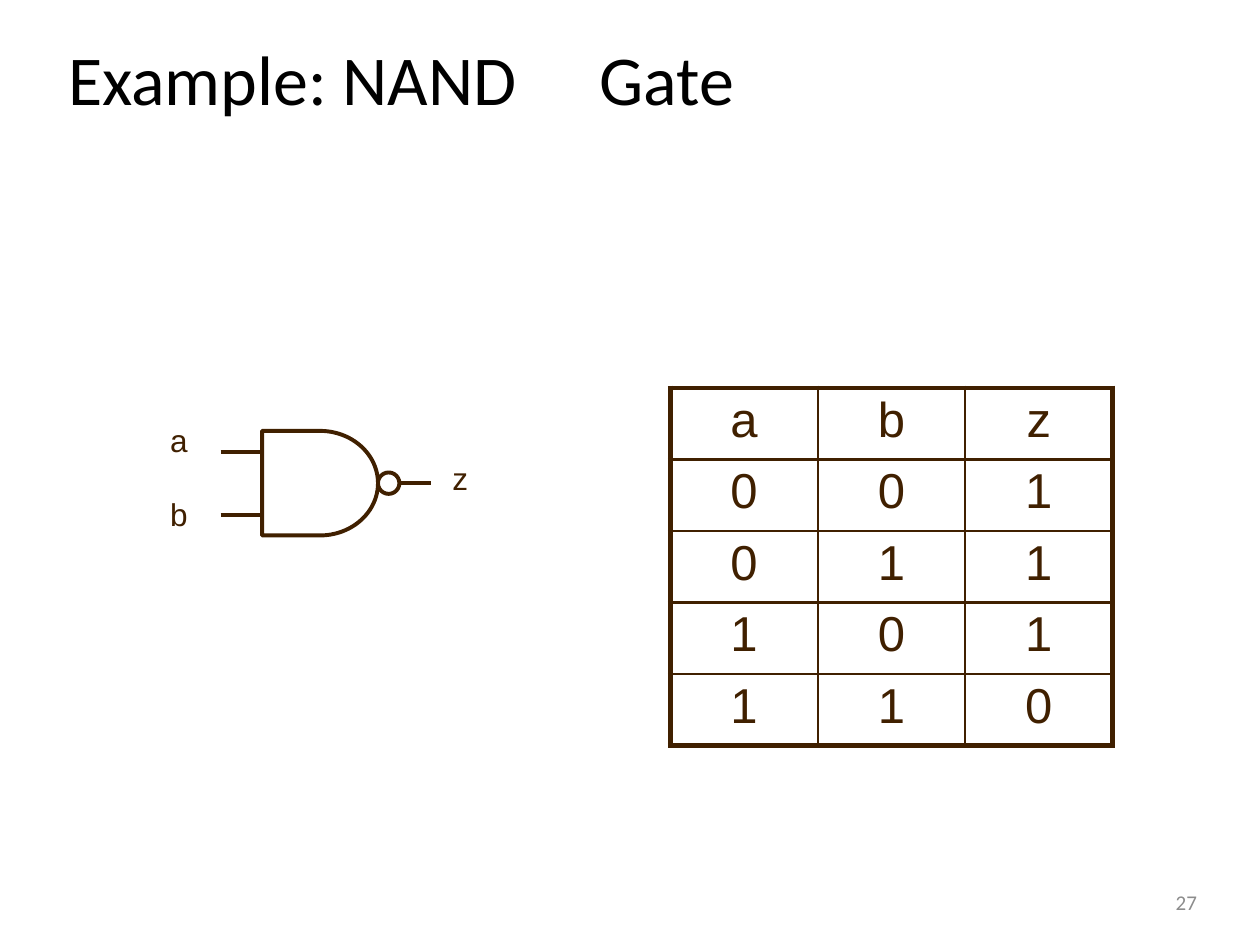
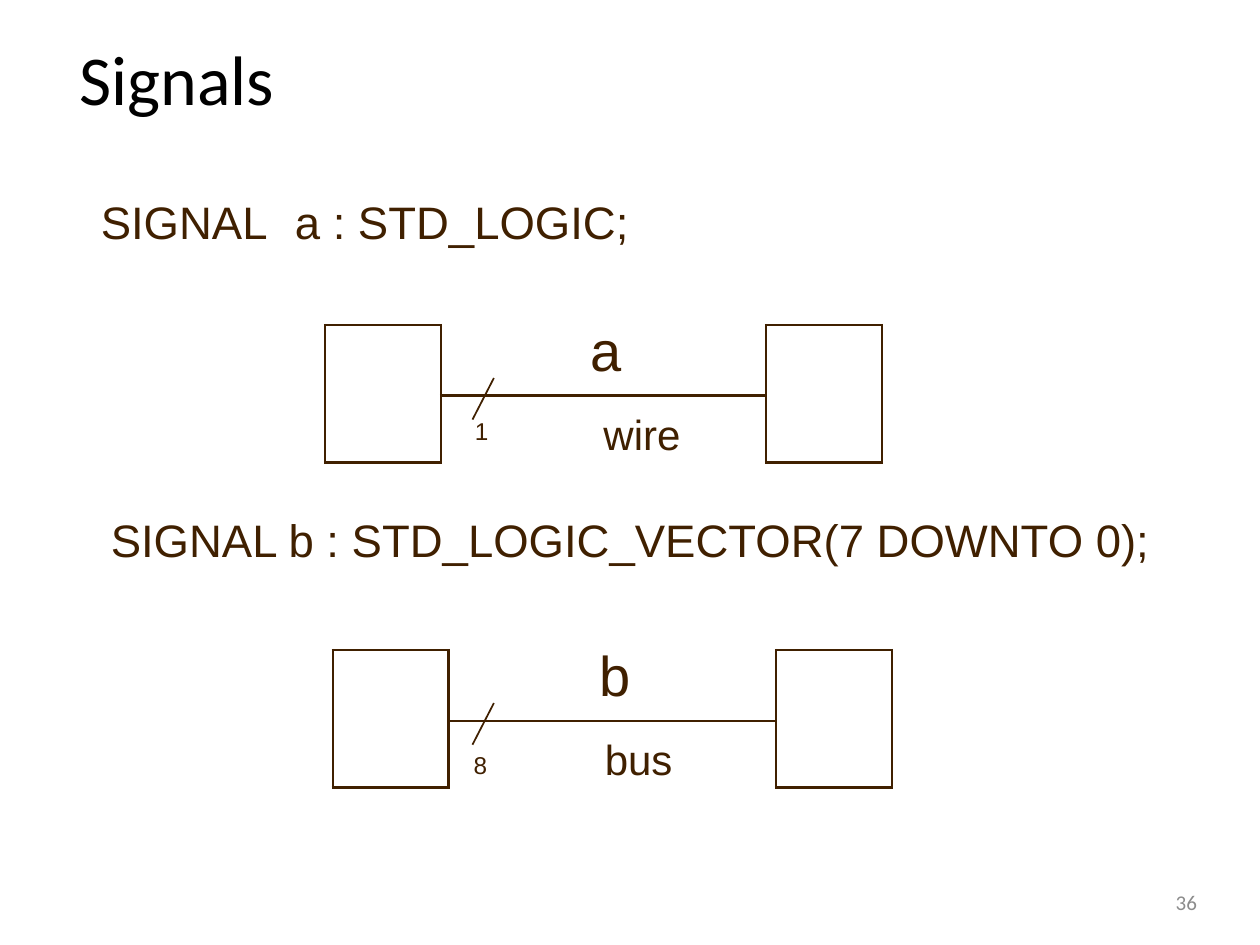
from lxml import etree
from pptx import Presentation
from pptx.dml.color import RGBColor
from pptx.enum.shapes import MSO_CONNECTOR as Connector, MSO_SHAPE as Shape
from pptx.enum.text import MSO_ANCHOR as Anchor, MSO_AUTO_SIZE as AutoSize, PP_ALIGN as Align
from pptx.oxml.ns import qn
from pptx.util import Inches, Pt

COLORS = {"ink": "402000", "title": "000000", "number": "8C8C8C"}
BODY_FONT, TITLE_FONT = "Arial", "Calibri"
TRUTH_ROWS = ["abz", "001", "011", "101", "110"]


def rgb(name):
    return RGBColor.from_string(COLORS[name])


def format_runs(paragraph, size, color="ink", font=BODY_FONT):
    for run in paragraph.runs:
        run.font.size = Pt(size)
        run.font.name = font
        run.font.color.rgb = rgb(color)


def add_tab_stop(paragraph, position):
    tabs = etree.SubElement(paragraph._p.get_or_add_pPr(), qn("a:tabLst"))
    etree.SubElement(tabs, qn("a:tab"), pos=str(Inches(position)), algn="l")


def set_insets(area, top=0.0, left=0.0):
    """Set the inner margins of a text frame or a table cell."""
    area.margin_left, area.margin_top = Inches(left), Inches(top)
    area.margin_right = area.margin_bottom = 0


def add_title(slide, text, left, tab=None):
    title = slide.shapes.title
    title.left, title.top = Inches(left), Inches(0.26)
    title.width, title.height = Inches(9.5 - left), Inches(0.69)
    frame = title.text_frame
    frame.text = text
    frame.auto_size = AutoSize.NONE
    frame.vertical_anchor = Anchor.MIDDLE
    set_insets(frame, top=0.02)
    heading = frame.paragraphs[0]
    heading.alignment = Align.LEFT
    if tab:
        add_tab_stop(heading, tab)
    format_runs(heading, 40, "title", TITLE_FONT)


def add_text(slide, text, left, top, width, height, size, tab=None):
    box = slide.shapes.add_textbox(Inches(left), Inches(top), Inches(width), Inches(height))
    frame = box.text_frame
    frame.text = text
    frame.word_wrap = False
    set_insets(frame, top=0.02)
    line = frame.paragraphs[0]
    line.alignment = Align.LEFT
    if tab:
        add_tab_stop(line, tab)
    format_runs(line, size)
    return frame


def add_slide_number(slide, number):
    frame = add_text(slide, str(number), 7.17, 6.95, 2.33, 0.4, 12)
    frame.word_wrap = True
    frame.vertical_anchor = Anchor.MIDDLE
    frame.paragraphs[0].alignment = Align.RIGHT
    format_runs(frame.paragraphs[0], 12, "number", TITLE_FONT)


def add_line(slide, x1, y1, x2, y2, width):
    line = slide.shapes.add_connector(
        Connector.STRAIGHT, Inches(x1), Inches(y1), Inches(x2), Inches(y2))
    line.line.color.rgb = rgb("ink")
    line.line.width = Pt(width)
    etree.SubElement(line._element.spPr, qn("a:effectLst"))


def add_outline(slide, kind, left, top, width, height):
    outline = slide.shapes.add_shape(
        kind, Inches(left), Inches(top), Inches(width), Inches(height))
    outline.shadow.inherit = False
    outline.fill.background()
    outline.line.color.rgb = rgb("ink")
    outline.line.width = Pt(2.25)


def set_borders(cell, left, right, top, bottom):
    """Give the four border widths in points; 0 leaves a side open."""
    cell.fill.background()
    properties = cell._tc.get_or_add_tcPr()
    sides = {"a:lnL": left, "a:lnR": right, "a:lnT": top, "a:lnB": bottom}
    for index, (tag, width) in enumerate(sides.items()):
        border = etree.Element(qn(tag), w=str(Pt(width)))
        if width:
            fill = etree.SubElement(border, qn("a:solidFill"))
            etree.SubElement(fill, qn("a:srgbClr"), val=COLORS["ink"])
        else:
            etree.SubElement(border, qn("a:noFill"))
        properties.insert(index, border)


def add_plain_table(slide, left, top, column_widths, row_heights):
    table = slide.shapes.add_table(
        len(row_heights), len(column_widths), Inches(left), Inches(top),
        Inches(sum(column_widths)), Inches(sum(row_heights))).table
    table.first_row = table.horz_banding = False
    for column, width in zip(table.columns, column_widths):
        column.width = Inches(width)
    for row, height in zip(table.rows, row_heights):
        row.height = Inches(height)
    return table


def add_nand_gate(slide, left, top):
    """Draw the gate with its leads; left and top are those of the body."""
    body_width, body_height, bubble = 0.92, 0.83, 0.17
    middle = top + body_height / 2
    bubble_left = left + body_width
    add_outline(slide, Shape.FLOWCHART_DELAY, left, top, body_width, body_height)
    add_outline(slide, Shape.OVAL, bubble_left, middle - bubble / 2, bubble, bubble)
    for offset in (-0.25, 0.25):
        add_line(slide, left - 0.33, middle + offset, left, middle + offset, 2.25)
    output = bubble_left + bubble
    add_line(slide, output, middle, output + 0.25, middle, 2.25)
    for name, dx, dy in (("a", -0.73, -0.1), ("b", -0.73, 0.49), ("z", 1.51, 0.2)):
        add_text(slide, name, left + dx, top + dy, 0.14, 0.33, 18)


def add_truth_table(slide, left, top):
    last_row, last_column = len(TRUTH_ROWS) - 1, len(TRUTH_ROWS[0]) - 1
    table = add_plain_table(slide, left, top, [1.17] * 3, [0.567] * 5)
    for r, values in enumerate(TRUTH_ROWS):
        for c, value in enumerate(values):
            cell = table.cell(r, c)
            cell.text_frame.text = value
            set_insets(cell, top=0.04)
            entry = cell.text_frame.paragraphs[0]
            entry.alignment = Align.CENTER
            format_runs(entry, 28)
            outer = (c == 0, c == last_column, r == 0, r == last_row)
            set_borders(cell, *(3 if edge else 1.5 for edge in outer))


def add_signal_diagram(slide, left, top, signal, bits, kind, link_width, indent, tab, raise_by):
    """Draw two blocks joined by a link that carries the signal's name and width."""
    table = add_plain_table(slide, left, top, [0.92, link_width, 0.92], [0.56, 0.53])
    for column in (0, 2):
        for row in (0, 1):
            set_borders(table.cell(row, column), 1.5, 1.5, 1.5, 1.5)
        table.cell(0, column).merge(table.cell(1, column))

    above, below = table.cell(0, 1), table.cell(1, 1)
    set_borders(above, 1.5, 1.5, 0, 1.5)
    set_borders(below, 1.5, 1.5, 1.5, 0)

    above.text_frame.text = signal
    set_insets(above, left=0.04)
    name = above.text_frame.paragraphs[0]
    name.alignment = Align.CENTER
    name.line_spacing = Pt(33.1)
    format_runs(name, 32)

    set_insets(below, top=0.2, left=indent)
    caption = below.text_frame.paragraphs[0]
    for part in (f"{bits}\t", kind):
        caption.add_run().text = part
    add_tab_stop(caption, tab)
    caption.line_spacing = Pt(22.2)
    format_runs(caption, 24)
    caption.runs[0]._r.get_or_add_rPr().set("baseline", str(raise_by * 1000))

    add_line(slide, 3.92, top + 0.42, 3.75, top + 0.75, 1)


def new_slide(deck, title, title_left, number, tab=None):
    slide = deck.slides.add_slide(deck.slide_layouts[5])
    add_title(slide, title, title_left, tab)
    add_slide_number(slide, number)
    return slide


def build_nand_slide(deck):
    slide = new_slide(deck, "Example: NAND\tGate", 0.54, 27, tab=4.22)
    add_nand_gate(slide, 2.08, 3.42)
    add_truth_table(slide, 5.32, 3.08)


def build_signals_slide(deck):
    slide = new_slide(deck, "Signals", 0.63, 36)
    add_text(slide, "SIGNAL\ta : STD_LOGIC;", 0.8, 1.52, 4.21, 0.46, 26, tab=1.54)
    add_signal_diagram(slide, 2.58, 2.58, "a", 1, "wire", 2.58, 0.27, 1.02, 24)
    add_text(slide, "SIGNAL b : STD_LOGIC_VECTOR(7 DOWNTO 0);", 0.88, 4.04, 8.3, 0.46, 26)
    add_signal_diagram(slide, 2.64, 5.16, "b", 8, "bus", 2.6, 0.2, 1.04, 3)


def main():
    deck = Presentation()
    deck.slide_width, deck.slide_height = Inches(10), Inches(7.5)
    build_nand_slide(deck)
    build_signals_slide(deck)
    deck.save("out.pptx")


if __name__ == "__main__":
    main()
